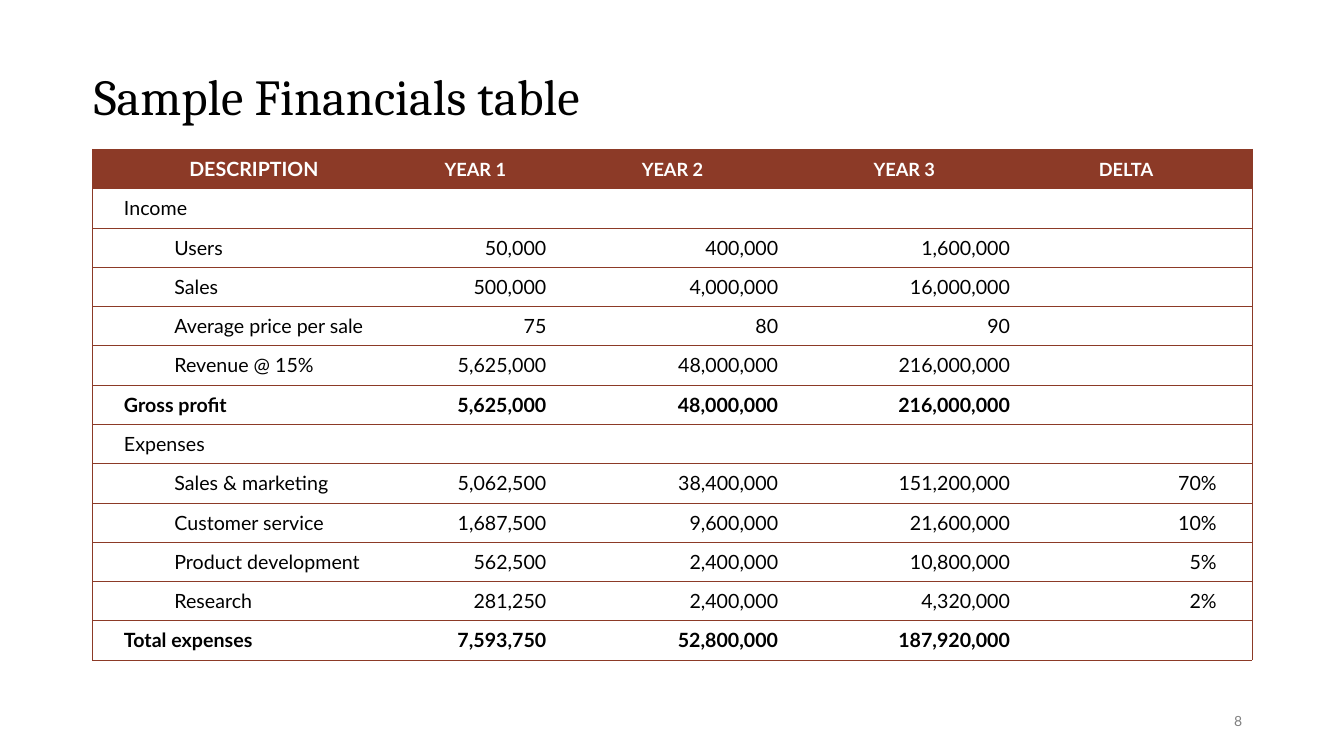
from lxml import etree
from pptx import Presentation
from pptx.dml.color import RGBColor
from pptx.enum.text import MSO_ANCHOR, MSO_AUTO_SIZE, PP_ALIGN
from pptx.oxml.ns import qn
from pptx.util import Inches, Pt

LEFT, MID, RIGHT = PP_ALIGN.LEFT, PP_ALIGN.CENTER, PP_ALIGN.RIGHT
MIDDLE = MSO_ANCHOR.MIDDLE
NO_FIT = MSO_AUTO_SIZE.NONE

COLORS = {"rust": "8C3A27", "ink": "000000", "paper": "FFFFFF", "gray": "808080"}
HEAD = ["DESCRIPTION", "YEAR 1", "YEAR 2", "YEAR 3", "DELTA"]
ITEMS = [
    ["Income"],
    ["Users", "50,000", "400,000", "1,600,000"],
    ["Sales", "500,000", "4,000,000", "16,000,000"],
    ["Average price per sale", "75", "80", "90"],
    ["Revenue @ 15%", "5,625,000", "48,000,000", "216,000,000"],
    ["Gross profit", "5,625,000", "48,000,000", "216,000,000"],
    ["Expenses"],
    ["Sales & marketing", "5,062,500", "38,400,000", "151,200,000", "70%"],
    ["Customer service", "1,687,500", "9,600,000", "21,600,000", "10%"],
    ["Product development", "562,500", "2,400,000", "10,800,000", "5%"],
    ["Research", "281,250", "2,400,000", "4,320,000", "2%"],
    ["Total expenses", "7,593,750", "52,800,000", "187,920,000"],
]
TOTALS = {"Gross profit", "Total expenses"}
GROUPS = {"Income", "Expenses"}
WIDTHS = [22.43, 12.08, 17.25, 17.25, 17.25]
ROW = 5.2


class Page:
    """One slide; all lengths are percentages of its width and height."""

    def __init__(self, deck):
        self.deck = deck
        self.slide = deck.slides.add_slide(deck.slide_layouts[5])

    def across(self, share):
        return round(self.deck.slide_width * share / 100)

    def down(self, share):
        return round(self.deck.slide_height * share / 100)

    def box(self, left, top, width, height):
        return self.across(left), self.down(top), self.across(width), self.down(height)

    def style(self, para, size, color, align=LEFT, face="Lato", bold=False):
        para.alignment = align
        font = para.font
        font.name, font.size, font.bold = face, Pt(size), bold
        font.color.rgb = RGBColor.from_string(COLORS[color])

    def title(self, text, *area):
        shape = self.slide.shapes.title
        shape.left, shape.top, shape.width, shape.height = self.box(*area)
        frame = shape.text_frame
        frame.text = text
        frame.auto_size, frame.vertical_anchor = NO_FIT, MIDDLE
        para = frame.paragraphs[0]
        para.line_spacing = 0.9
        self.style(para, 36, "ink", face="Cambria")

    def number(self, text, *area):
        frame = self.slide.shapes.add_textbox(*self.box(*area)).text_frame
        frame.word_wrap, frame.vertical_anchor = True, MIDDLE
        frame.text = text
        self.style(frame.paragraphs[0], 10, "gray", RIGHT)

    def edges(self, cell, shown):
        """Rule the shown sides (of L, R, T, B) and clear the others."""
        props = cell._tc.get_or_add_tcPr()
        for side in "LRTB":
            line = etree.SubElement(props, qn("a:ln" + side), w=str(Pt(0.5)))
            if side in shown:
                fill = etree.SubElement(line, qn("a:solidFill"))
                etree.SubElement(fill, qn("a:srgbClr"), val=COLORS["rust"])
            else:
                etree.SubElement(line, qn("a:noFill"))

    def cell(self, cell, text, row, col, label):
        last = len(HEAD) - 1
        self.edges(cell, "TB" + {0: "L", last: "R"}.get(col, ""))
        cell.vertical_anchor = MIDDLE
        cell.text = text
        para = cell.text_frame.paragraphs[0]
        if col == 0:
            cell.margin_left = Inches(0.31)
        elif col == last:
            cell.margin_right = Inches(0.35 if row else 0.3)
        if not text:
            cell.margin_top = cell.margin_bottom = 0
        if row == 0:
            cell.fill.solid()
            cell.fill.fore_color.rgb = RGBColor.from_string(COLORS["rust"])
            self.style(para, 13 if col else 14, "paper", MID, bold=True)
            return
        cell.fill.background()
        if col == 0 and label not in TOTALS | GROUPS:
            para.level = 1
            para._p.get_or_add_pPr().set("marL", str(Inches(0.5)))
        self.style(para, 14, "ink", RIGHT if col else LEFT, bold=label in TOTALS)

    def table(self, rows, left, top):
        area = self.box(left, top, sum(WIDTHS), ROW * len(rows))
        table = self.slide.shapes.add_table(len(rows), len(HEAD), *area).table
        table.first_row = table.horz_banding = False
        for column, width in zip(table.columns, WIDTHS):
            column.width = self.across(width)
        for r, row in enumerate(rows):
            table.rows[r].height = self.down(ROW)
            for c in range(len(HEAD)):
                text = row[c] if c < len(row) else ""
                self.cell(table.cell(r, c), text, r, c, row[0])


def main():
    deck = Presentation()
    deck.slide_width, deck.slide_height = Inches(13.33), Inches(7.5)
    page = Page(deck)
    page.title("Sample Financials table", 6.23, 8.4, 86.27, 9.33)
    page.table([HEAD] + ITEMS, 6.9, 19.75)
    page.number("8", 70.67, 92.67, 22.5, 5.33)
    deck.save("out.pptx")


if __name__ == "__main__":
    main()
